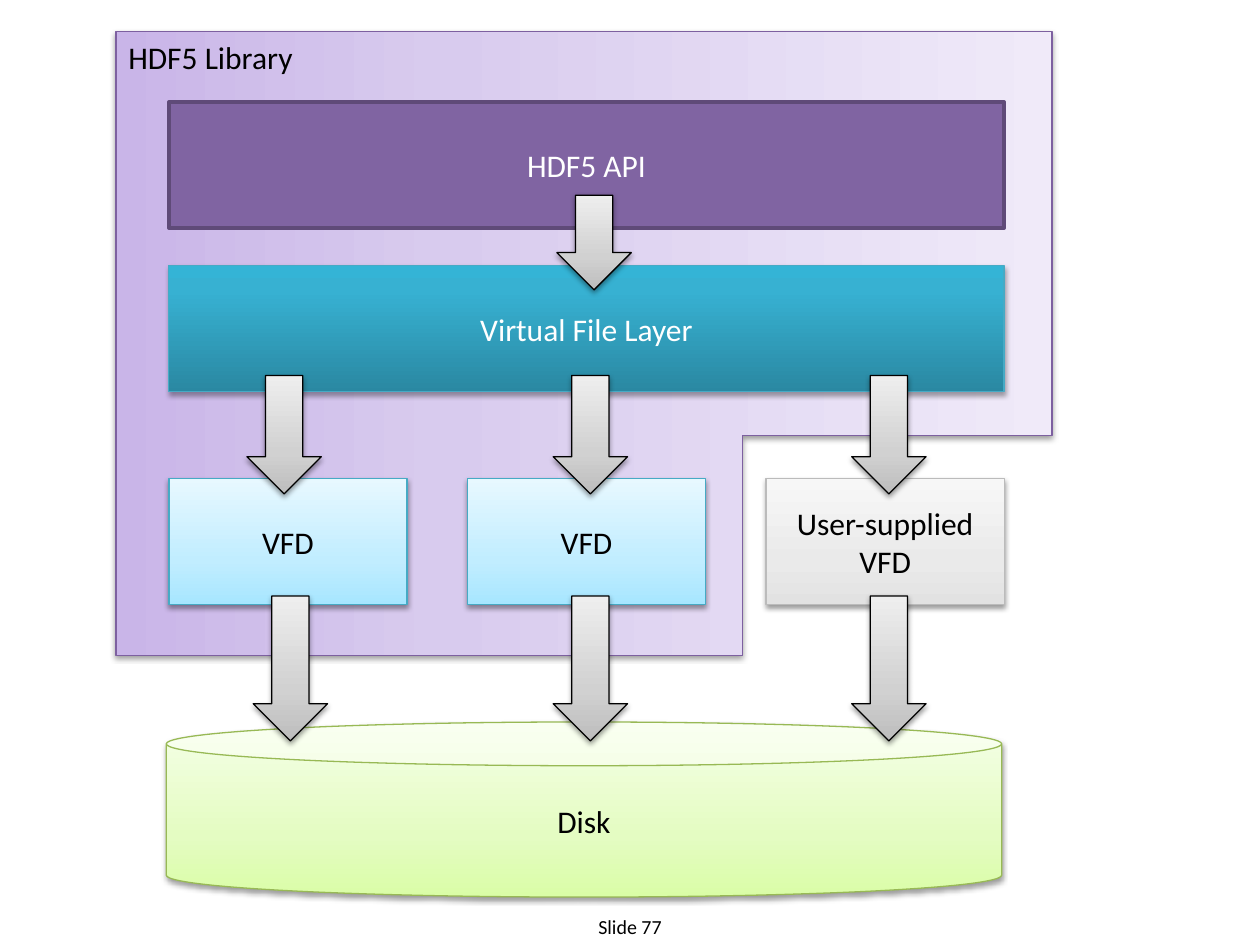
from lxml.etree import SubElement
from pptx import Presentation
from pptx.dml.color import RGBColor
from pptx.enum.shapes import MSO_SHAPE as Shape
from pptx.enum.text import MSO_ANCHOR as Anchor, PP_ALIGN as Align
from pptx.oxml.ns import qn
from pptx.util import Inches, Pt

# Content: gradients run from bottom to top
BLACK, WHITE = "000000", "FFFFFF"
PURPLE = [(0, "C9B5E8"), (35, "D8CBEE"), (100, "F0EAF9")]
TEAL = [(0, "2A88A2"), (80, "37B1D2"), (100, "34B4D6")]
CYAN = [(0, "A7E6FF"), (35, "C1EDFF"), (100, "E7F8FF")]
GREY = [(0, "E2E2E2"), (35, "EAEAEA"), (100, "F7F7F7")]
GREEN = [(0, "DAFDA7"), (35, "E4FCC2"), (100, "F5FFE7")]
SILVER = [(0, "BDBDBD"), (35, "D1D1D1"), (100, "EEEEEE")]

LEFT, WIDTH, HEIGHT = 1.34, 6.63, 1
DRIVER_WIDTH = 1.89
DRIVER_STEP = (WIDTH - DRIVER_WIDTH) / 2
ARROW_WIDTH = 0.59

drivers = [  # label, gradient, line colour
    ("VFD", CYAN, "46AAC5"),
    ("VFD", CYAN, "46AAC5"),
    ("User-supplied VFD", GREY, "BBBBBB"),
]
arrow_rows = [  # top, height, left edges
    (2.98, 0.94, [1.96, 4.39, 6.76]),
    (4.73, 1.15, [2.01, 4.39, 6.76]),
    (1.55, 0.75, [4.42]),
]


def rgb(value):
    return RGBColor.from_string(value)


def format_text(text_frame, text, color, size=18, align=Align.CENTER):
    text_frame.word_wrap = True
    text_frame.text = text
    paragraph = text_frame.paragraphs[0]
    paragraph.alignment = align
    font = paragraph.runs[0].font
    font.name, font.size = "Calibri", Pt(size)
    font.color.rgb = rgb(color)
    return paragraph


def set_gradient(shape, stops):
    shape.fill.gradient()
    shape.fill.gradient_angle = 90
    stop_list = shape._element.spPr.find(".//" + qn("a:gsLst"))
    stop_list.clear()
    for position, color in stops:
        stop = SubElement(stop_list, qn("a:gs"), pos=str(position * 1000))
        SubElement(stop, qn("a:srgbClr"), val=color)


def add_shadow(shape, distance, opacity):
    effects = shape._element.spPr.find(qn("a:effectLst"))
    shadow = SubElement(effects, qn("a:outerShdw"), blurRad=str(Pt(3.1)),
                        dist=str(Pt(distance)), dir="5400000", rotWithShape="0")
    color = SubElement(shadow, qn("a:srgbClr"), val=BLACK)
    SubElement(color, qn("a:alpha"), val=str(opacity * 1000))


def make_corner(shape, *adjustments):
    """Turn a rectangle into the preset L shape, which MSO_SHAPE lacks."""
    geometry = shape._element.spPr.find(qn("a:prstGeom"))
    geometry.set("prst", "corner")
    guides = geometry.find(qn("a:avLst"))
    for number, value in enumerate(adjustments, start=1):
        SubElement(guides, qn("a:gd"), name=f"adj{number}",
                   fmla=f"val {round(value * 100000)}")


def add_block(kind, box, fill, line, text="", color=BLACK, line_width=0.75,
              shadow=(1.6, 38)):
    shape = slide.shapes.add_shape(kind, *map(Inches, box))
    shape.shadow.inherit = False
    if isinstance(fill, str):
        shape.fill.solid()
        shape.fill.fore_color.rgb = rgb(fill)
    else:
        set_gradient(shape, fill)
    shape.line.color.rgb = rgb(line)
    shape.line.width = Pt(line_width)
    if shadow:
        add_shadow(shape, *shadow)
    if text:
        shape.text_frame.vertical_anchor = Anchor.MIDDLE
        format_text(shape.text_frame, text, color)
    return shape


presentation = Presentation()
presentation.slide_width, presentation.slide_height = Inches(10), Inches(7.5)
slide = presentation.slides.add_slide(presentation.slide_layouts[6])

# Slide number
footer = slide.shapes.add_textbox(Inches(4), Inches(7.25), Inches(2), Inches(0.25))
footer.text_frame.vertical_anchor = Anchor.MIDDLE
format_text(footer.text_frame, "Slide 77", BLACK, 11.4).line_spacing = 0.8

# Library outline: an L shape turned so that its notch is at lower right
library = add_block(Shape.RECTANGLE, (2.16, -0.99, 4.95, 7.43), PURPLE, "7D60A0")
make_corner(library, 1.005, 0.648)
library.rotation = 90

# Layers
add_block(Shape.RECTANGLE, (LEFT, 0.81, WIDTH, HEIGHT), "8064A2", "5F4A78",
          "HDF5 API", WHITE, line_width=2, shadow=None)
add_block(Shape.RECTANGLE, (LEFT, 2.11, WIDTH, HEIGHT), TEAL, "46AAC5",
          "Virtual File Layer", WHITE, shadow=(1.8, 35))

# Drivers
for index, (label, gradient, line) in enumerate(drivers):
    box = (LEFT + index * DRIVER_STEP, 3.8, DRIVER_WIDTH, HEIGHT)
    add_block(Shape.RECTANGLE, box, gradient, line, label)

# Disk
add_block(Shape.CAN, (1.32, 5.73, WIDTH, 1.39), GREEN, "98B955", "Disk")

# Library label
label_box = slide.shapes.add_textbox(Inches(0.92), Inches(0.25), Inches(4.54), Inches(0.4))
format_text(label_box.text_frame, "HDF5 Library", BLACK, align=Align.LEFT)

# Arrows between the layers
for top, height, lefts in arrow_rows:
    for left in lefts:
        add_block(Shape.DOWN_ARROW, (left, top, ARROW_WIDTH, height), SILVER, BLACK)

presentation.save("out.pptx")
